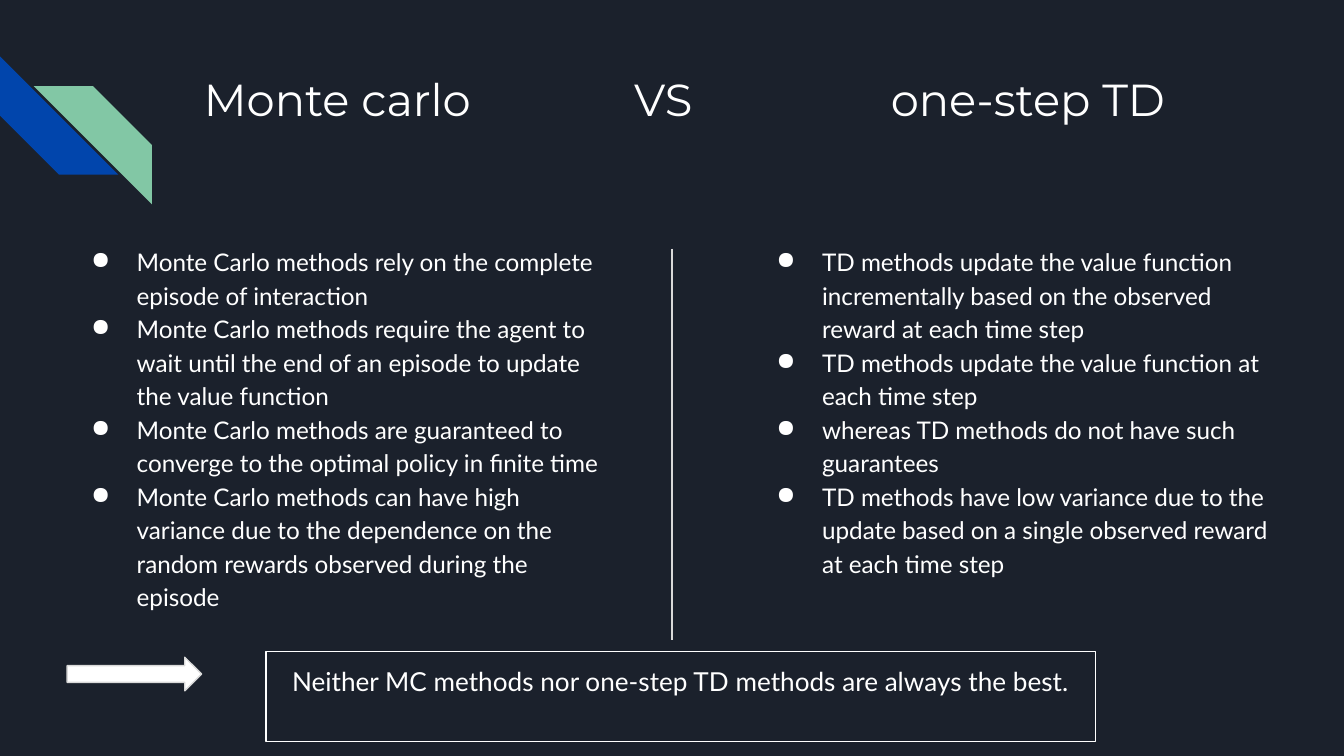
from lxml.etree import SubElement
from pptx import Presentation
from pptx.dml.color import RGBColor
from pptx.enum.shapes import MSO_CONNECTOR, MSO_SHAPE
from pptx.enum.text import MSO_ANCHOR, PP_ALIGN
from pptx.oxml.ns import qn
from pptx.util import Pt

# Content
HEADINGS = ["Monte carlo", "VS", "one-step TD"]
MONTE_CARLO = [
    "Monte Carlo methods rely on the complete episode of interaction",
    "Monte Carlo methods require the agent to wait until the end of an episode to update the value function",
    "Monte Carlo methods are guaranteed to converge to the optimal policy in finite time",
    "Monte Carlo methods can have high variance due to the dependence on the random rewards observed during the episode",
]
ONE_STEP_TD = [
    "TD methods update the value function incrementally based on the observed reward at each time step",
    "TD methods update the value function at each time step",
    "whereas TD methods do not have such guarantees",
    "TD methods have low variance due to the update based on a single observed reward at each time step",
]
CONCLUSION = "Neither MC methods nor one-step TD methods are always the best."

THEME = {
    "background": "1B212C", "text": "FFFFFF", "rule": "D9D9D9",
    "blue": "0145AC", "green": "82C7A5",
    "heading": ("Montserrat", 24), "body": ("Lato", 13), "closing": ("Lato", 14),
}

# Layout, in points
WIDTH, HEIGHT = 720, 405
STRIPE = 63.4
STRIPES = [((0, 30.2), 270, "blue"), ((18, 46.1), 90, "green")]
HEADING_BOX = (102.2, 31, 554.4, 72)
HEADING_TABS = (230.5, 368)
COLUMN_TOP, COLUMN_HEIGHT = 123.1, 229
COLUMNS = [(30.2, 305.3, MONTE_CARLO), (397.4, 290.9, ONE_STEP_TD)]
DIVIDER = (WIDTH / 2, 133.2, WIDTH / 2, 342.7)
ARROW_BOX = (36, 352.1, 72, 18)
CONCLUSION_BOX = (142.6, 349.2, 444.2, 48.2)
INSET, BULLET_LEFT, BULLET_HANG, RULE = 7.2, 36, 24.5, 0.75


def color(name):
    return RGBColor.from_string(THEME[name])


def points(values):
    return [Pt(value) for value in values]


def add_preset(kind, box, fill=None, line=None):
    shape = slide.shapes.add_shape(kind, *points(box))
    shape.shadow.inherit = False
    if fill:
        shape.fill.solid()
        shape.fill.fore_color.rgb = color(fill)
    else:
        shape.fill.background()
    if line:
        shape.line.color.rgb = color(line)
        shape.line.width = Pt(RULE)
    else:
        shape.line.fill.background()
    return shape


def write(shape, lines, style, align=PP_ALIGN.LEFT):
    frame = shape.text_frame
    frame_format = {f"margin_{side}": Pt(INSET) for side in ("left", "right", "top", "bottom")}
    frame_format.update(word_wrap=True, vertical_anchor=MSO_ANCHOR.TOP)
    for name, value in frame_format.items():
        setattr(frame, name, value)
    frame.text = "\n".join(lines)
    family, size = THEME[style]
    for paragraph in frame.paragraphs:
        paragraph.alignment = align
        for run in paragraph.runs:
            for name, value in {"name": family, "size": Pt(size)}.items():
                setattr(run.font, name, value)
            run.font.color.rgb = color("text")
    return frame.paragraphs


def add_bullet(paragraph):
    paragraph.line_spacing = 1.15
    properties = paragraph._p.get_or_add_pPr()
    properties.set("marL", str(Pt(BULLET_LEFT)))
    properties.set("indent", str(-Pt(BULLET_HANG)))
    bullet_color = SubElement(properties, qn("a:buClr"))
    SubElement(bullet_color, qn("a:srgbClr"), val=THEME["text"])
    SubElement(properties, qn("a:buChar"), char="●")


def add_tabs(paragraph, stops):
    tabs = SubElement(paragraph._p.get_or_add_pPr(), qn("a:tabLst"))
    for stop in stops:
        SubElement(tabs, qn("a:tab"), pos=str(Pt(stop)), algn="l")


presentation = Presentation()
presentation.slide_width, presentation.slide_height = points((WIDTH, HEIGHT))
slide = presentation.slides.add_slide(presentation.slide_layouts[6])
slide.background.fill.solid()
slide.background.fill.fore_color.rgb = color("background")

# Corner stripes
for corner, rotation, fill in STRIPES:
    stripe = add_preset(MSO_SHAPE.DIAGONAL_STRIPE, (*corner, STRIPE, STRIPE), fill)
    stripe.rotation = rotation

# Heading, its three parts set on tab stops
heading = slide.shapes.add_textbox(*points(HEADING_BOX))
add_tabs(write(heading, ["\t".join(HEADINGS)], "heading")[0], HEADING_TABS)

# Two columns of bullets
for left, width, statements in COLUMNS:
    column = slide.shapes.add_textbox(*points((left, COLUMN_TOP, width, COLUMN_HEIGHT)))
    for statement in write(column, statements, "body"):
        add_bullet(statement)

# Divider between the columns
divider = slide.shapes.add_connector(MSO_CONNECTOR.STRAIGHT, *points(DIVIDER))
divider.line.color.rgb = color("rule")
divider.line.width = Pt(RULE)
SubElement(divider._element.spPr, qn("a:effectLst"))

# Arrow and conclusion
add_preset(MSO_SHAPE.RIGHT_ARROW, ARROW_BOX, "text", "rule")
conclusion = add_preset(MSO_SHAPE.RECTANGLE, CONCLUSION_BOX, line="text")
write(conclusion, [CONCLUSION], "closing", PP_ALIGN.CENTER)

presentation.save("out.pptx")
